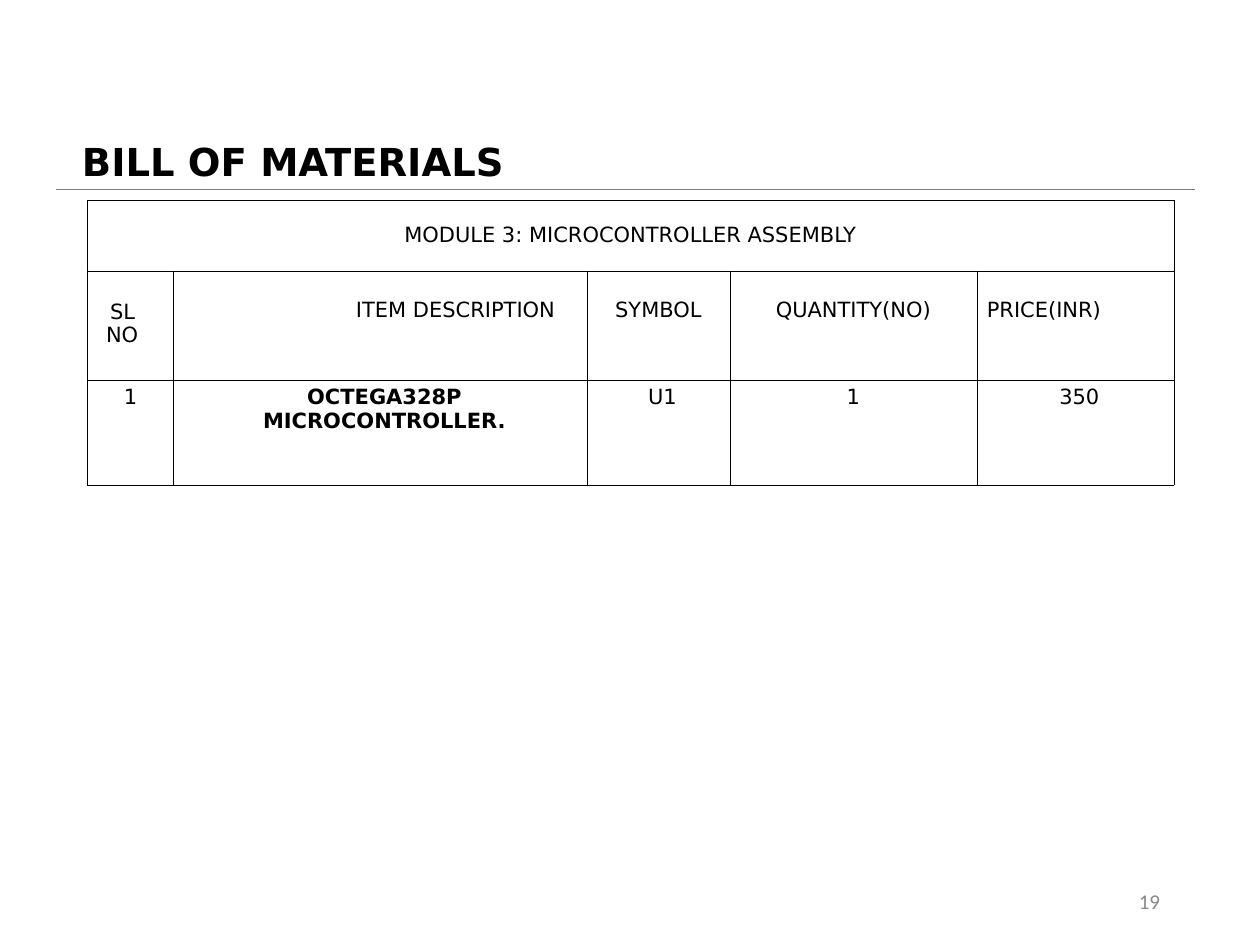
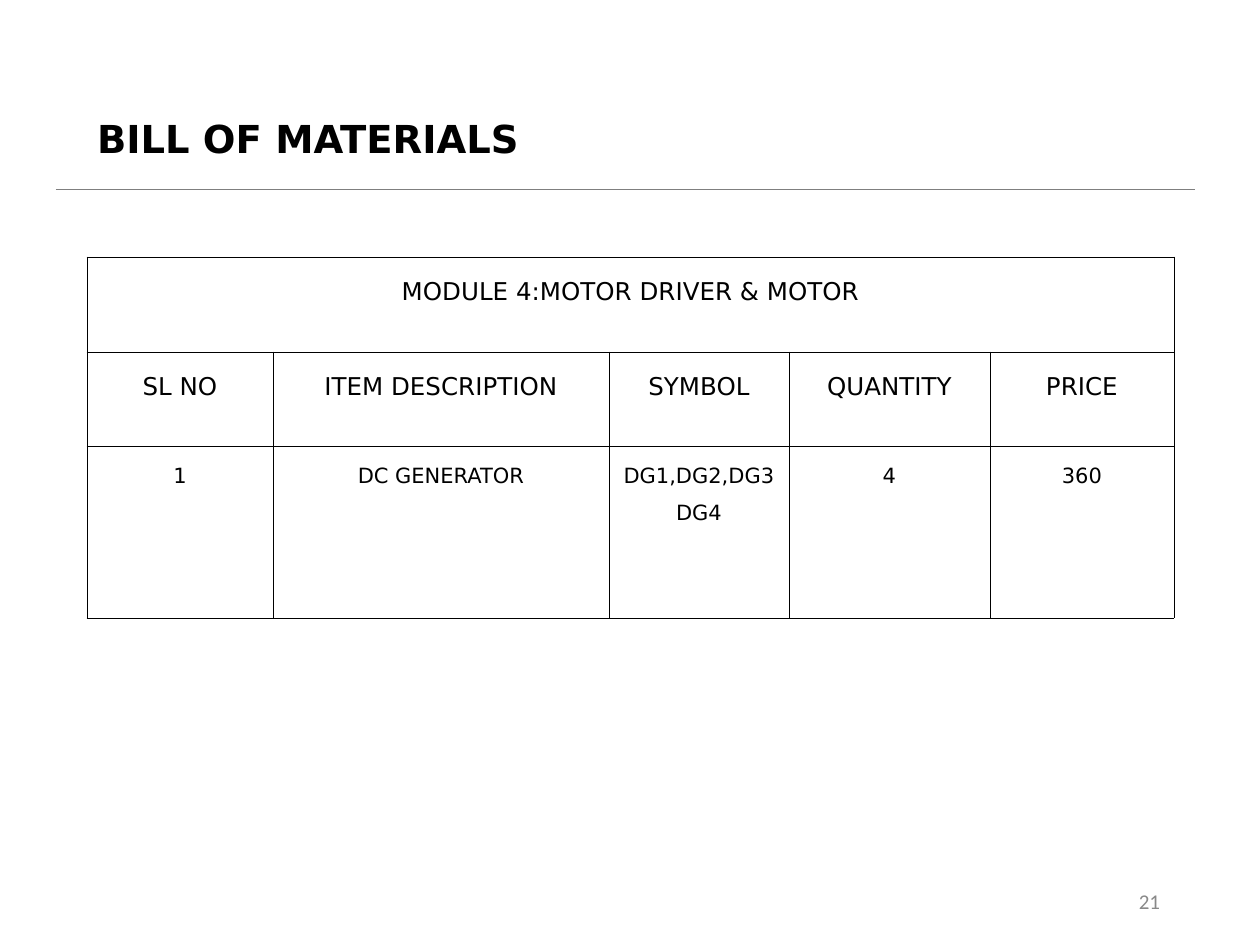
import lxml.etree
import pptx
import pptx.dml.color
import pptx.enum.shapes
import pptx.enum.text
import pptx.oxml.ns
import pptx.util

PX_PER_INCH = 126
BLACK, RULE_GRAY, NUMBER_GRAY = "000000", "7F7F7F", "898989"
BODY_FONT, NUMBER_FONT = "DejaVu Sans", "Calibri"
CELL_SIDE, CELL_TOP = 10, 6
ALIGN = pptx.enum.text.PP_ALIGN
MIDDLE = pptx.enum.text.MSO_ANCHOR.MIDDLE


def px(length):
    return pptx.util.Inches(length / PX_PER_INCH)


def color(hex_string):
    return pptx.dml.color.RGBColor.from_string(hex_string)


def add_run(paragraph, text, size, bold=False, font=BODY_FONT, ink=BLACK):
    run = paragraph.add_run()
    run.text = text
    run.font.name = font
    run.font.size = pptx.util.Pt(size)
    run.font.bold = bold
    run.font.color.rgb = color(ink)


def add_text_box(slide, box, side, align):
    """Add a vertically centred text box and return its first paragraph."""
    frame = slide.shapes.add_textbox(*map(px, box)).text_frame
    frame.word_wrap = True
    frame.vertical_anchor = MIDDLE
    frame.margin_left = frame.margin_right = px(side)
    frame.margin_top = frame.margin_bottom = px(6)
    paragraph = frame.paragraphs[0]
    paragraph.alignment = align
    return paragraph


def add_rule(slide):
    rule = slide.shapes.add_connector(
        pptx.enum.shapes.MSO_CONNECTOR.STRAIGHT, px(56), px(189), px(1195), px(189))
    rule.line.color.rgb = color(RULE_GRAY)
    rule.line.width = pptx.util.Pt(0.5)
    lxml.etree.SubElement(rule._element.spPr, pptx.oxml.ns.qn("a:effectLst"))


def add_bill_slide(presentation, title_left, title_top, number):
    """Add a slide with the shared rule, title and page number."""
    slide = presentation.slides.add_slide(presentation.slide_layouts[6])
    add_rule(slide)
    title = add_text_box(slide, (title_left, title_top, 1087, 183), 10, ALIGN.LEFT)
    title.line_spacing = 0.9
    add_run(title, "BILL OF MATERIALS", 22, bold=True)
    page = add_text_box(slide, (890, 876, 283, 50), 13, ALIGN.RIGHT)
    add_run(page, number, 12, font=NUMBER_FONT, ink=NUMBER_GRAY)
    return slide


def set_borders(cell):
    properties = cell._tc.get_or_add_tcPr()
    for position, edge in enumerate(("lnL", "lnR", "lnT", "lnB")):
        line = lxml.etree.Element(
            pptx.oxml.ns.qn("a:" + edge), w=str(pptx.util.Pt(0.45)))
        fill = lxml.etree.SubElement(line, pptx.oxml.ns.qn("a:solidFill"))
        lxml.etree.SubElement(fill, pptx.oxml.ns.qn("a:srgbClr"), val=BLACK)
        properties.insert(position, line)


def add_grid(slide, top, widths, heights):
    """Add a plain bordered table whose first row is one merged cell."""
    table = slide.shapes.add_table(
        len(heights), len(widths), px(87), px(top), px(sum(widths)), px(sum(heights))).table
    table.first_row = table.horz_banding = False
    for column, width in zip(table.columns, widths):
        column.width = px(width)
    for row, height in zip(table.rows, heights):
        row.height = px(height)
    for cell in table.iter_cells():
        cell.fill.background()
        set_borders(cell)
    table.cell(0, 0).merge(table.cell(0, len(widths) - 1))
    return table


def fill_cell(cell, text, size=12, spacing=None, align=ALIGN.CENTER, bold=False,
              indent=0, top=CELL_TOP):
    """Write one paragraph per line of text; indent widens the left margin."""
    cell.margin_left, cell.margin_right = px(CELL_SIDE + indent), px(CELL_SIDE)
    cell.margin_top, cell.margin_bottom = px(top), px(CELL_TOP)
    for index, line in enumerate(text.split("\n")):
        frame = cell.text_frame
        paragraph = frame.add_paragraph() if index else frame.paragraphs[0]
        paragraph.alignment = align
        paragraph.line_spacing = spacing
        add_run(paragraph, line, size, bold)


def add_microcontroller_slide(presentation):
    slide = add_bill_slide(presentation, 72, 73, "19")
    table = add_grid(slide, 200, (86, 414, 143, 247, 197), (71, 109, 105))
    fill_cell(table.cell(0, 0), "MODULE 3: MICROCONTROLLER ASSEMBLY")
    table.cell(0, 0).vertical_anchor = MIDDLE

    headings = (("SL NO", ALIGN.LEFT, 9, 13.2), ("ITEM DESCRIPTION", ALIGN.LEFT, 173, 12.5),
                ("SYMBOL", ALIGN.CENTER, 0, 12.5), ("QUANTITY(NO)", ALIGN.CENTER, 0, 12.5),
                ("PRICE(INR)", ALIGN.LEFT, 0, 12.5))
    for column, (text, align, indent, spacing) in enumerate(headings):
        fill_cell(table.cell(1, column), text, align=align, indent=indent,
                  spacing=pptx.util.Pt(spacing), top=30)
    serial = table.cell(1, 0).text_frame.paragraphs[0]
    serial._p.get_or_add_pPr().set("indent", str(px(4)))

    item = (("1", 1), ("OCTEGA328P MICROCONTROLLER.", 9), ("U1", 8), ("1", 0), ("350", 8))
    for column, (text, indent) in enumerate(item):
        fill_cell(table.cell(2, column), text, indent=indent, bold=column == 1,
                  spacing=pptx.util.Pt(13.5))


def add_motor_slide(presentation):
    slide = add_bill_slide(presentation, 87, 50, "21")
    table = add_grid(slide, 257, (186, 336, 180, 201, 184), (95, 94, 172))
    rows = (("MODULE 4:MOTOR DRIVER & MOTOR",),
            ("SL NO", "ITEM DESCRIPTION", "SYMBOL", "QUANTITY", "PRICE"),
            ("1", "DC GENERATOR", "DG1,DG2,DG3\nDG4", "4", "360"))
    for row, (texts, size) in enumerate(zip(rows, (14, 14, 12))):
        for column, text in enumerate(texts):
            fill_cell(table.cell(row, column), text, size, spacing=1.5)


def main():
    presentation = pptx.Presentation()
    presentation.slide_width = pptx.util.Inches(10)
    presentation.slide_height = pptx.util.Inches(7.5)
    add_microcontroller_slide(presentation)
    add_motor_slide(presentation)
    presentation.save("out.pptx")


if __name__ == "__main__":
    main()
